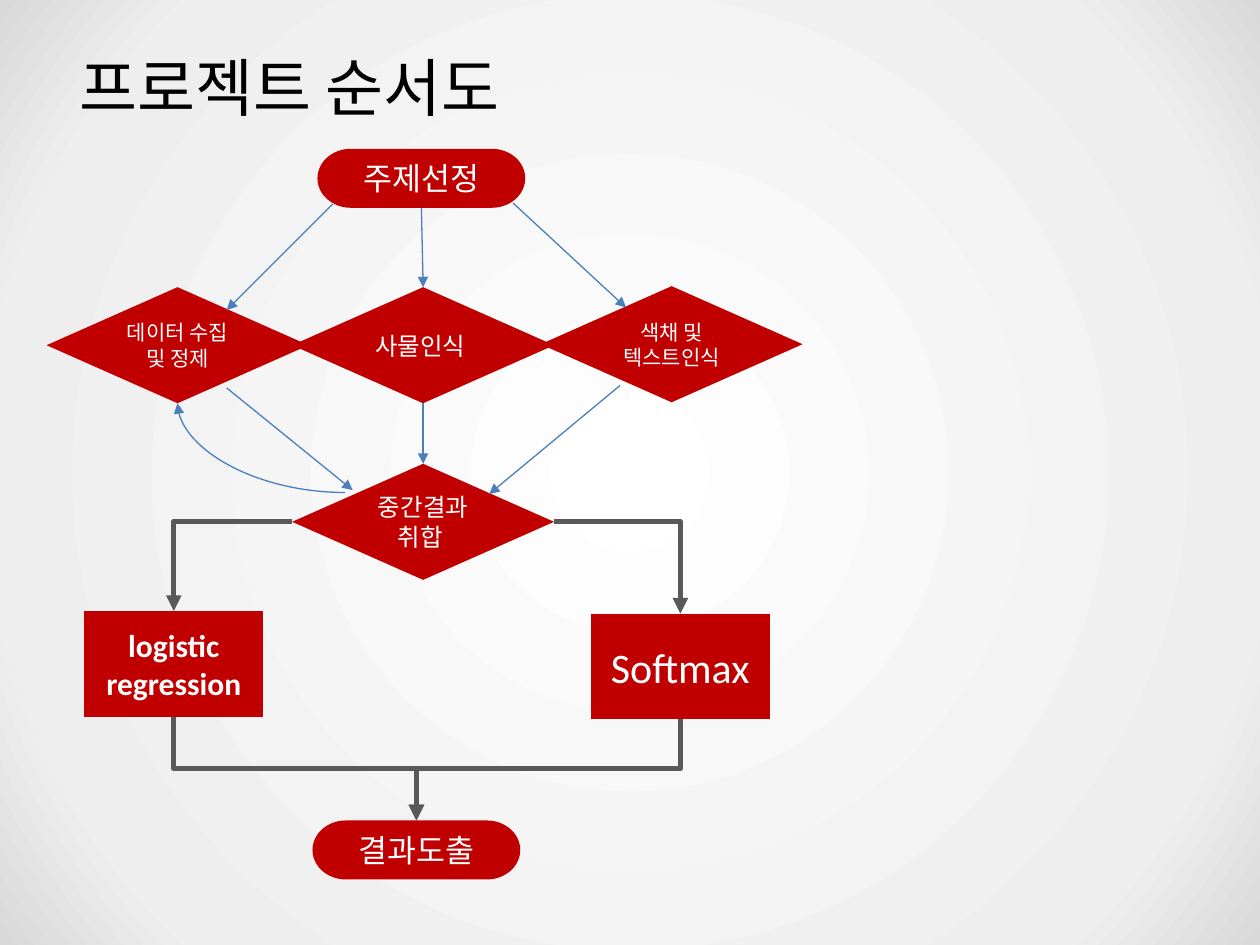
from lxml.etree import SubElement, fromstring
from pptx import Presentation
from pptx.dml.color import RGBColor
from pptx.enum.shapes import MSO_CONNECTOR as Link, MSO_SHAPE as Shape
from pptx.enum.text import MSO_ANCHOR as Anchor, PP_ALIGN as Align
from pptx.oxml.ns import nsdecls, qn
from pptx.util import Cm, Pt

RED = RGBColor(0xC0, 0x00, 0x00)
WHITE = RGBColor(0xFF, 0xFF, 0xFF)
BLACK = RGBColor(0x00, 0x00, 0x00)
BLUE = RGBColor(0x4B, 0x7E, 0xBC)
GRAY = RGBColor(0x59, 0x59, 0x59)
SILVER = RGBColor(0xEE, 0xEE, 0xEE)
SHADE = RGBColor(0xD9, 0xD9, 0xD9)
TOP, LEFT, BOTTOM, RIGHT = range(4)


class Flowchart:
    """Draws the parts of a flowchart in one style on the current page."""

    font = "Calibri"
    sizes = {
        Shape.FLOWCHART_TERMINATOR: (4.19, 1.19),
        Shape.FLOWCHART_DECISION: (5.28, 2.34),
        Shape.FLOWCHART_PROCESS: (3.61, 2.13),
    }

    def __init__(self, page):
        self.page = page

    def background(self, stops):
        marks = "".join(
            f'<a:gs pos="{place * 1000}"><a:srgbClr val="{color}"/></a:gs>'
            for place, color in stops
        )
        self.page.element.cSld.insert(0, fromstring(
            f'<p:bg {nsdecls("p", "a")}><p:bgPr><a:gradFill rotWithShape="1">'
            f'<a:gsLst>{marks}</a:gsLst><a:path path="circle">'
            '<a:fillToRect l="50000" t="50000" r="50000" b="50000"/></a:path>'
            '</a:gradFill><a:effectLst/></p:bgPr></p:bg>'
        ))

    def label(self, box, text, size, color, align, bold=False):
        frame = box.text_frame
        frame.word_wrap = True
        frame.vertical_anchor = Anchor.MIDDLE
        para = frame.paragraphs[0]
        para.alignment = align
        span = para.add_run()
        span.text = text
        span.font.name = self.font
        span.font.size = Pt(size)
        span.font.bold = bold
        span.font.color.rgb = color

    def title(self, text, left, top, width, height):
        box = self.page.shapes.add_textbox(Cm(left), Cm(top), Cm(width), Cm(height))
        frame = box.text_frame
        frame.margin_left = frame.margin_right = Cm(0.33)
        frame.margin_top = frame.margin_bottom = Cm(0.18)
        self.label(box, text, 36, BLACK, Align.LEFT)

    def step(self, kind, text, left, top, size, bold=False):
        width, height = self.sizes[kind]
        box = self.page.shapes.add_shape(kind, Cm(left), Cm(top), Cm(width), Cm(height))
        box.shadow.inherit = False
        box.fill.solid()
        box.fill.fore_color.rgb = RED
        box.line.fill.background()
        self.label(box, text, size, WHITE, Align.CENTER, bold)
        return box

    def arrow(self, start, end, color=BLUE, weight=0.75, kind=Link.STRAIGHT, preset=None):
        """Each end is a pair: (x, y) in cm, or (box, side)."""
        line = self.page.shapes.add_connector(kind, 0, 0, 0, 0)
        if isinstance(start[0], float):
            line.begin_x, line.begin_y = map(Cm, start)
        else:
            line.begin_connect(*start)
        if isinstance(end[0], float):
            line.end_x, line.end_y = map(Cm, end)
        else:
            line.end_connect(*end)
        line.line.color.rgb = color
        line.line.width = Pt(weight)
        properties = line._element.spPr
        SubElement(properties.find(qn("a:ln")), qn("a:tailEnd"), type="triangle")
        SubElement(properties, qn("a:effectLst"))
        if preset:
            properties.find(qn("a:prstGeom")).set("prst", preset)
        return line

    def corner(self, start, end):
        self.arrow(start, end, GRAY, 3, Link.ELBOW, "bentConnector2")

    def curve(self, start, end):
        self.arrow(start, end, kind=Link.CURVE, preset="curvedConnector2")

    def merge(self, start, end, level):
        line = self.arrow(start, end, GRAY, 3, Link.ELBOW)
        x, y = line.begin_x, line.begin_y
        across, down = line.end_x - x, line.end_y - y
        line.width, line.height = down, abs(across)
        line.left = x + (across - down) // 2
        line.top = y + (down - abs(across)) // 2
        frame = line._element.spPr.find(qn("a:xfrm"))
        frame.set("rot", str((270 if across > 0 else 90) * 60000))
        frame.set("flipH", "1" if across > 0 else "0")
        frame.set("flipV", "0")
        geometry = line._element.spPr.find(qn("a:prstGeom"))
        share = round((Cm(level) - y) / down * 100000)
        SubElement(geometry.find(qn("a:avLst")), qn("a:gd"), name="adj1", fmla=f"val {share}")


def main():
    deck = Presentation()
    deck.slide_width, deck.slide_height = Cm(25.4), Cm(19.05)
    chart = Flowchart(deck.slides.add_slide(deck.slide_layouts[6]))
    chart.background([(0, WHITE), (81, SILVER), (100, SHADE)])
    chart.title("프로젝트 순서도", 1.27, 0.76, 22.86, 1.98)

    process, decision, terminator = (
        Shape.FLOWCHART_PROCESS, Shape.FLOWCHART_DECISION, Shape.FLOWCHART_TERMINATOR
    )
    logistic = chart.step(process, "logistic regression", 1.7, 12.32, 18, bold=True)
    summary = chart.step(decision, "중간결과 취합 ", 5.89, 9.35, 14)
    topic = chart.step(terminator, "주제선정", 6.4, 3.0, 18)
    result = chart.step(terminator, "결과도출", 6.3, 16.54, 18)
    softmax = chart.step(process, "Softmax", 11.91, 12.37, 24)
    data = chart.step(decision, "데이터 수집 및 정제", 0.94, 5.79, 12)
    chart.step(decision, "색채 및 텍스트인식", 10.9, 5.77, 12)
    objects = chart.step(decision, "사물인식 ", 5.89, 5.79, 14)

    for side, model in ((RIGHT, softmax), (LEFT, logistic)):
        chart.corner((summary, side), (model, TOP))
        chart.merge((model, BOTTOM), (result, TOP), 15.49)
    for start, end in (
        ((6.71, 4.11), (4.57, 6.25)),
        ((10.34, 4.09), (12.62, 6.2)),
        ((4.57, 7.82), (7.11, 9.88)),
        ((12.5, 7.77), (9.86, 9.96)),
        ((topic, BOTTOM), (objects, TOP)),
        ((objects, BOTTOM), (summary, TOP)),
    ):
        chart.arrow(start, end)
    chart.curve((6.96, 9.93), (data, BOTTOM))

    deck.save("out.pptx")


if __name__ == "__main__":
    main()
